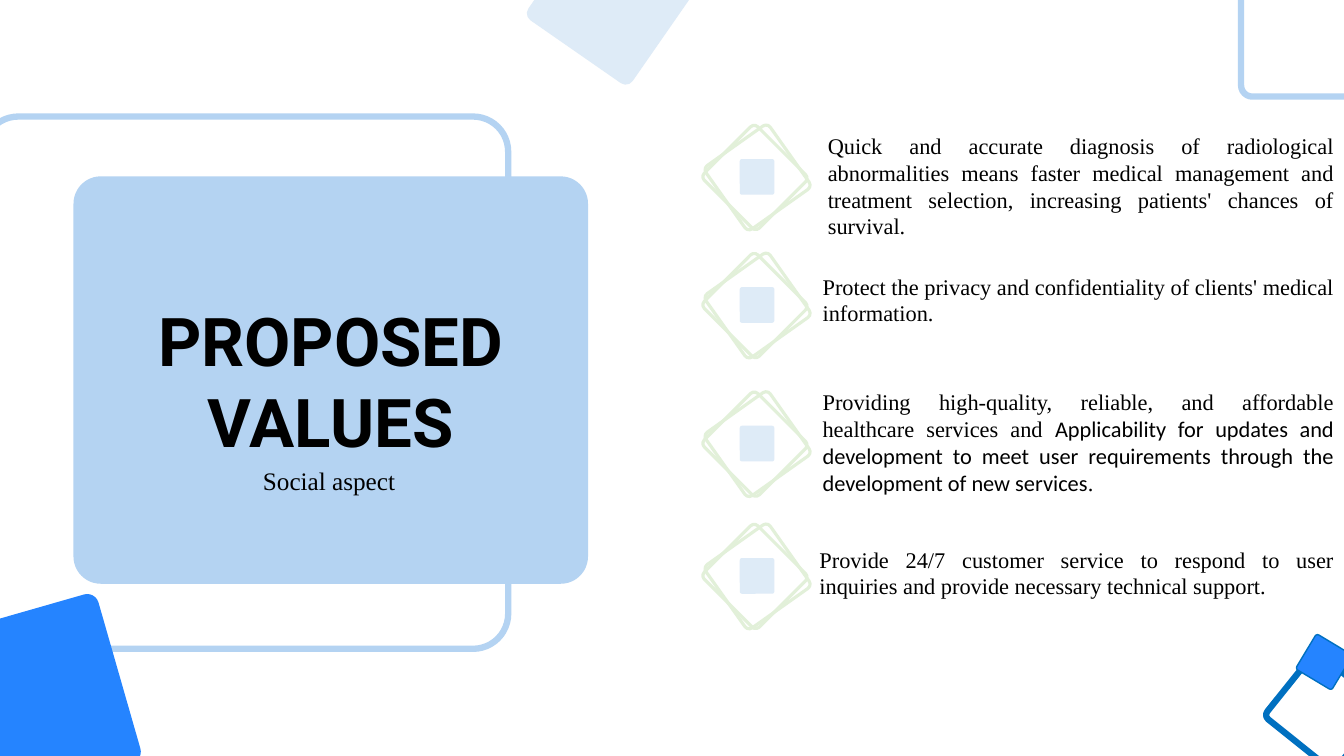
import pptx
import pptx.dml.color
import pptx.enum.shapes
import pptx.enum.text
import pptx.util

PX = 9525  # EMU in one px, 96 px to the inch
WIDE, HIGH = 1280, 720
ROUND = pptx.enum.shapes.MSO_SHAPE.ROUNDED_RECTANGLE
ALIGN = pptx.enum.text.PP_ALIGN
FIT = pptx.enum.text.MSO_AUTO_SIZE
MID = pptx.enum.text.MSO_ANCHOR.MIDDLE

THEME = {
    "ink": "000000", "sky": "B4D3F2", "pale": "DEEBF7",
    "mint": "E2F0D9", "blue": "2584FF", "deep": "0070C0",
    "head": {"name": "Roboto", "size": 48, "bold": True},
    "body": {"name": "Times New Roman", "size": 16},
    "alt": {"name": "Calibri", "size": 16},
    "sub": {"name": "Times New Roman", "size": 18},
}

# Top of the icon, box of the text, runs as (style, words)
ITEMS = [
    (132, (779, 121, 113), [
        ("body", "Quick and accurate diagnosis of radiological abnormalities "
                 "means faster medical management and treatment selection, "
                 "increasing patients' chances of survival.")]),
    (254, (774, 255, 61), [
        ("body", "Protect the privacy and confidentiality of clients' "
                 "medical information.")]),
    (386, (774, 365, 139), [
        ("body", "Providing high-quality, reliable, and affordable "
                 "healthcare services and "),
        ("alt", "Applicability for updates and development to meet user "
                "requirements through the development of new services"),
        ("body", ". ")]),
    (512, (771, 515, 61), [
        ("body", "Provide 24/7 customer service to respond to user "
                 "inquiries and provide necessary technical support.")]),
]


def tint(name):
    return pptx.dml.color.RGBColor.from_string(THEME[name])


def apply(item, vals):
    for key, val in vals.items():
        setattr(item, key, val)


def scale(box):
    return [n * PX for n in box]


def block(shapes, box, fill=None, line=None, width=0, turn=0):
    """Rounded square, filled or outlined, turned by some degrees."""
    shape = shapes.add_shape(ROUND, *scale(box))
    shape.adjustments[0] = 0.067
    shape.rotation = turn
    shape.shadow.inherit = False
    if fill:
        shape.fill.solid()
        shape.fill.fore_color.rgb = tint(fill)
    else:
        shape.fill.background()
    if line:
        shape.line.color.rgb = tint(line)
        shape.line.width = pptx.util.Pt(width)
    else:
        shape.line.fill.background()
    return shape


def write(shape, runs, align, **frame):
    apply(shape.text_frame, frame)
    para = shape.text_frame.paragraphs[0]
    para.alignment = align
    for style, words in runs:
        run = para.add_run()
        run.text = words
        vals = dict(THEME[style])
        vals["size"] = pptx.util.Pt(vals["size"])
        apply(run.font, vals)
        run.font.color.rgb = tint("ink")


def panel(slide, box):
    """Title card over an outlined frame, with the subtitle."""
    x, y, w, h = box
    shapes = slide.shapes
    block(shapes, (x - 86, y - 57, w + 10, h + 119), line="sky", width=4.5)
    card = block(shapes, box, fill="sky")
    title = shapes.title
    apply(title, dict(zip(("left", "top", "width", "height"), scale(box))))
    card.element.addnext(title.element)
    write(title, [("head", "PROPOSED VALUES")], ALIGN.CENTER,
          word_wrap=True, auto_size=FIT.NONE, vertical_anchor=MID)
    note = shapes.add_textbox(*scale((x + 171, y + 270, 147, 38)))
    write(note, [("sub", "Social aspect")], ALIGN.LEFT,
          word_wrap=False, auto_size=FIT.SHAPE_TO_FIT_TEXT)


def decor(slide, box):
    """Loose blocks along the edges of the box."""
    x, y, w, h = box
    right, foot = x + w, y + h
    shapes = slide.shapes
    block(shapes, (x + 522, y - 60, 121, 120), fill="pale", turn=34.8)
    block(shapes, (right - 61, foot - 82, 85, 79),
          line="deep", width=4.5, turn=38.7)
    block(shapes, (right - 39, foot - 109, 40, 39),
          fill="blue", line="deep", width=1, turn=31)
    block(shapes, (right - 98, y - 72, 160, 164), line="sky", width=4.5)
    block(shapes, (x - 51, foot - 137, 168, 167), fill="blue", turn=344)


def icon(slide, x, y):
    """Two crossed outlines around a small square."""
    pair = slide.shapes.add_group_shape().shapes
    for left, wide, turn in ((x + 1, 75, 144.7), (x, 72, 135)):
        block(pair, (left, y, wide, 74), line="mint", width=2.25, turn=turn)
    block(slide.shapes, (x + 21, y + 20, 34, 33), fill="pale", turn=90)


def values(slide, left, right):
    """Icon and text of each value, between two edges."""
    for top, (x, y, h), runs in ITEMS:
        icon(slide, left, top)
        note = slide.shapes.add_textbox(*scale((x, y, right - x, h)))
        write(note, runs, ALIGN.JUSTIFY,
              word_wrap=True, auto_size=FIT.SHAPE_TO_FIT_TEXT)


def main():
    deck = pptx.Presentation()
    apply(deck, {"slide_width": WIDE * PX, "slide_height": HIGH * PX})
    slide = deck.slides.add_slide(deck.slide_layouts[5])
    panel(slide, (70, 168, 490, 388))
    decor(slide, (0, 0, WIDE, HIGH))
    values(slide, 683, WIDE)
    deck.save("out.pptx")


if __name__ == "__main__":
    main()
